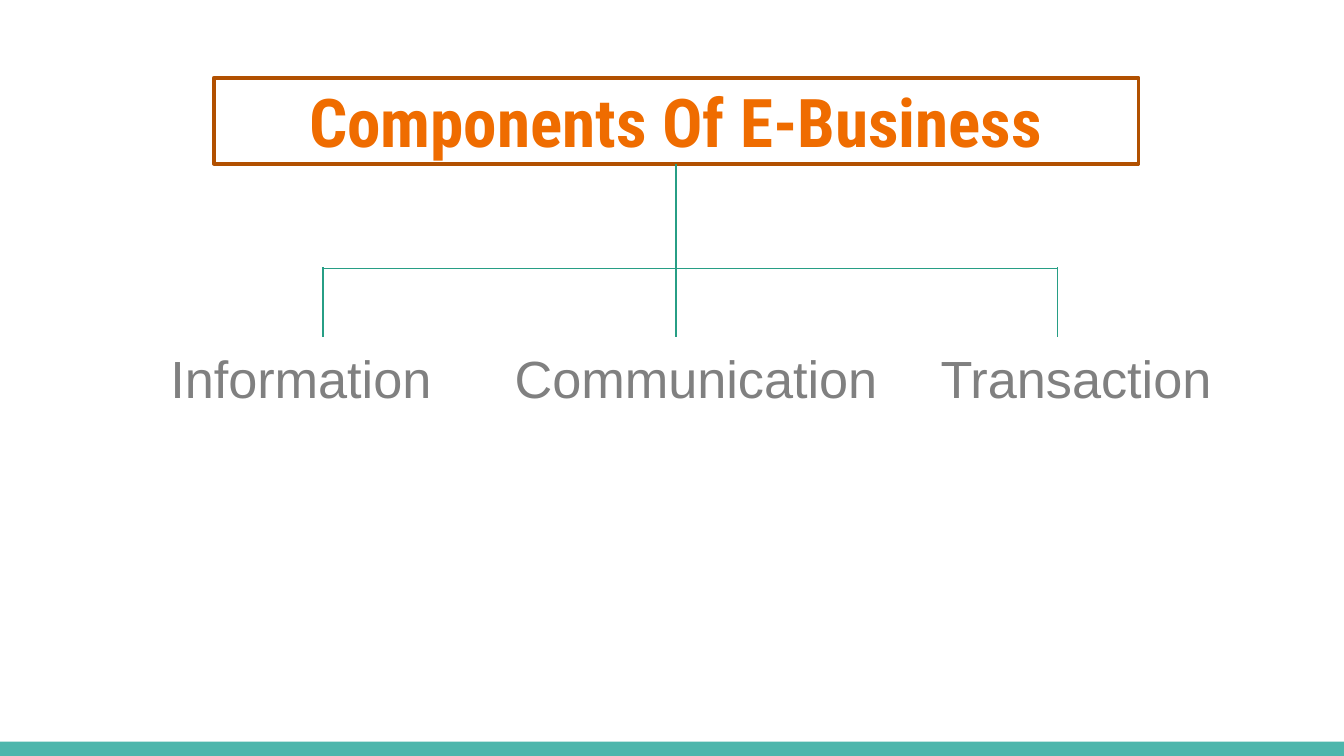
from pptx import Presentation
from pptx.dml.color import RGBColor
from pptx.enum.shapes import MSO_CONNECTOR, MSO_SHAPE
from pptx.enum.text import MSO_ANCHOR, MSO_AUTO_SIZE, PP_ALIGN
from pptx.oxml.ns import qn
from pptx.util import Pt

COLORS = {
    "footer": "4DB6AC",
    "title": "EF6C00",
    "frame": "B15000",
    "branch": "279E85",
    "label": "808080",
}
SLIDE_WIDTH, SLIDE_HEIGHT = 720, 405

# Component name, stem x, label left and label width
COMPONENTS = [
    ("Information", 173, 84.2, 156.2),
    ("Communication", 362.2, 268.6, 211.7),
    ("Transaction", 566.6, 496.8, 162.7),
]


def color(name):
    return RGBColor.from_string(COLORS[name])


def set_font(paragraph, family, size, color_name, bold=False):
    font = paragraph.font
    font.name, font.size, font.bold = family, Pt(size), bold
    font.color.rgb = color(color_name)


def add_branch(slide, kind, x1, y1, x2, y2):
    branch = slide.shapes.add_connector(kind, Pt(x1), Pt(y1), Pt(x2), Pt(y2))
    branch.line.color.rgb = color("branch")
    branch.line.width = Pt(0.75)
    properties = branch._element.spPr
    properties.append(properties.makeelement(qn("a:effectLst"), {}))
    return branch


def add_footer(slide, left, top, width, height):
    footer = slide.shapes.add_shape(
        MSO_SHAPE.RECTANGLE, Pt(left), Pt(top), Pt(width), Pt(height))
    footer.shadow.inherit = False
    footer.fill.solid()
    footer.fill.fore_color.rgb = color("footer")
    footer.line.fill.background()


def add_title(slide, left, top, width, height):
    """Place the title and return the frame drawn around it."""
    title = slide.shapes.title
    title.left, title.top = Pt(left), Pt(top)
    title.width, title.height = Pt(width), Pt(height)
    text = title.text_frame
    text.text = "Components Of E-Business"
    text.word_wrap = True
    text.auto_size = MSO_AUTO_SIZE.NONE
    text.vertical_anchor = MSO_ANCHOR.MIDDLE
    text.margin_left = text.margin_right = Pt(7.2)
    text.margin_top = text.margin_bottom = Pt(7.2)
    heading = text.paragraphs[0]
    heading.alignment = PP_ALIGN.CENTER
    set_font(heading, "Roboto Condensed", 36, "title", bold=True)

    frame = slide.shapes.add_shape(
        MSO_SHAPE.RECTANGLE, Pt(left + 87.9), Pt(top + 5), Pt(495.4), Pt(46))
    frame.shadow.inherit = False
    frame.fill.background()
    frame.line.color.rgb = color("frame")
    frame.line.width = Pt(2)
    return frame


def add_tree(slide, frame, top, height):
    """Branch from the frame's bottom to the component labels."""
    root_x = (frame.left + frame.width / 2) / Pt(1)
    root_y = (frame.top + frame.height) / Pt(1)
    label_height = 41
    stem_bottom = top + height - label_height - 1.4

    # Elbows from the outer stems to the frame
    for _, stem_x, _, _ in (COMPONENTS[-1], COMPONENTS[0]):
        elbow = add_branch(slide, MSO_CONNECTOR.ELBOW, stem_x, top, root_x, root_y)
        elbow._element.spPr.find(qn("a:prstGeom")).set("prst", "bentConnector2")
        elbow.end_connect(frame, 2)

    # Stems and labels
    for name, stem_x, label_left, label_width in COMPONENTS:
        add_branch(slide, MSO_CONNECTOR.STRAIGHT, stem_x, top - 0.5, stem_x, stem_bottom)
        label = slide.shapes.add_textbox(
            Pt(label_left), Pt(top + height - label_height),
            Pt(label_width), Pt(label_height))
        text = label.text_frame
        text.text = name
        text.word_wrap = False
        text.auto_size = MSO_AUTO_SIZE.SHAPE_TO_FIT_TEXT
        set_font(text.paragraphs[0], "Arial", 28, "label")


def main():
    presentation = Presentation()
    presentation.slide_width = Pt(SLIDE_WIDTH)
    presentation.slide_height = Pt(SLIDE_HEIGHT)
    slide = presentation.slides.add_slide(presentation.slide_layouts[5])
    add_footer(slide, 0, SLIDE_HEIGHT - 7.6, SLIDE_WIDTH, 7.6)
    frame = add_title(slide, 26.6, 36.7, 671, 55.4)
    add_tree(slide, frame, 143.8, 79.4)
    presentation.save("out.pptx")


if __name__ == "__main__":
    main()
